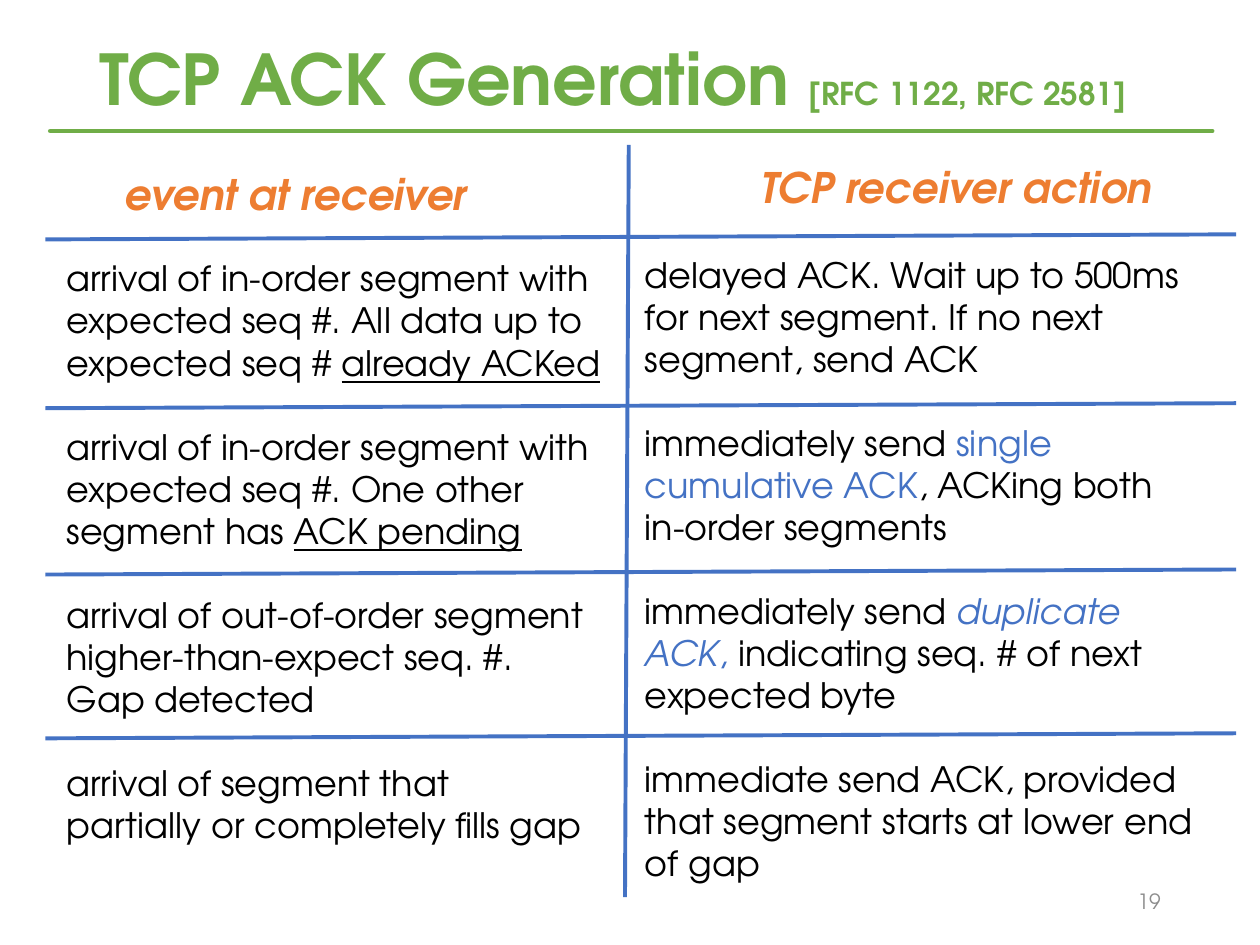
import pptx
import pptx.dml.color
import pptx.enum.shapes
import pptx.enum.text
import pptx.oxml.ns
import pptx.util
from lxml import etree

COLORS = {"green": "70AD47", "orange": "ED7D31", "blue": "4472C4",
          "black": "000000", "gray": "8C8C8C"}
FONT = "TeX Gyre Adventor"
GRID = pptx.util.Inches(0.1)  # the slide is 100 columns by 75 rows
COLUMNS, ROWS = 100, 75

# Each case is a list of paragraphs, each paragraph a list of (text, style).
EVENTS = [
    [[("arrival of in-order segment with", "plain")],
     [("expected seq #. All data up to", "plain")],
     [("expected seq # ", "plain"), ("already ACKed", "underlined")]],
    [[("arrival of in-order segment with", "plain")],
     [("expected seq #. One other", "plain")],
     [("segment has ", "plain"), ("ACK pending", "underlined")]],
    [[("arrival of out-of-order segment", "plain")],
     [("higher-than-expect seq. #.", "plain")],
     [("Gap detected", "plain")]],
    [[("arrival of segment that", "plain")],
     [("partially or completely fills gap", "plain")]],
]
ACTIONS = [
    [[("delayed ACK. Wait up to 500ms", "plain")],
     [("for next segment. If no next segment, send ACK", "plain")]],
    [[("immediately send ", "plain"), ("single cumulative ACK", "key"),
      (", ACKing both in-order segments", "plain")]],
    [[("immediately send ", "plain"), ("duplicate ACK", "key italic"), (",", "key"),
      (" indicating seq. # of next expected byte", "plain")]],
    [[("immediate send ACK, provided that segment starts at lower end of gap", "plain")]],
]


def span(cells):
    return round(cells * GRID)


def rgb(name):
    return pptx.dml.color.RGBColor.from_string(COLORS[name])


def set_font(font, size, color, bold=False):
    font.name = FONT
    font.size = pptx.util.Pt(size)
    font.bold = bold
    font.color.rgb = rgb(color)


def add_text_frame(slide, box, anchor=pptx.enum.text.MSO_ANCHOR.TOP):
    frame = slide.shapes.add_textbox(*map(span, box)).text_frame
    frame.word_wrap = True
    frame.vertical_anchor = anchor
    return frame


def add_rule(slide, start, end, color, width):
    rule = slide.shapes.add_connector(
        pptx.enum.shapes.MSO_CONNECTOR.STRAIGHT, *map(span, start + end))
    rule.line.color.rgb = rgb(color)
    rule.line.width = pptx.util.Pt(width)
    etree.SubElement(rule._element.spPr, pptx.oxml.ns.qn("a:effectLst"))
    return rule


def add_title(slide, box):
    left, top, width, height = box
    frame = add_text_frame(slide, box, pptx.enum.text.MSO_ANCHOR.MIDDLE)
    title = frame.paragraphs[0]
    title.line_spacing = 0.9
    set_font(title.font, 40, "green", bold=True)
    title.add_run().text = "TCP ACK Generation "
    references = title.add_run()
    references.text = "[RFC 1122, RFC 2581]"
    references.font.size = pptx.util.Pt(18)
    underline_y = top + height + 0.1
    underline = add_rule(slide, (4, underline_y), (96.2, underline_y), "green", 2.75)
    underline.line._get_or_add_ln().set("cap", "rnd")


def add_case_column(slide, box, heading, indent, cases, first_gap, gap=24):
    """Stack a heading and its cases; gaps are points above each case."""
    frame = add_text_frame(slide, box)
    header = frame.paragraphs[0]
    header.text = heading
    set_font(header.font, 24, "orange", bold=True)
    header.font.italic = True
    header._p.get_or_add_pPr().set("marL", str(span(indent)))
    for case_index, case in enumerate(cases):
        for line_index, pieces in enumerate(case):
            line = frame.add_paragraph()
            set_font(line.font, 20, "black")
            if line_index == 0:
                line.space_before = pptx.util.Pt(gap if case_index else first_gap)
            for text, style in pieces:
                run = line.add_run()
                run.text = text
                if "underlined" in style:
                    run.font.underline = True
                if "key" in style:
                    run.font.color.rgb = rgb("blue")
                if "italic" in style:
                    run.font.italic = True


def add_dividers(slide, box, row_tops, slope=0.4):
    """Draw the row dividers, which rise slightly, and the column divider."""
    left, top, width, height = box
    middle = left + 0.49 * width
    add_rule(slide, (middle + 0.0, top), (middle - 0.3, top + height), "blue", 2.25)
    for y in row_tops:
        add_rule(slide, (left, y), (left + width, y - slope), "blue", 2.25)


def add_page_number(slide, box, number):
    frame = add_text_frame(slide, box, pptx.enum.text.MSO_ANCHOR.MIDDLE)
    page = frame.paragraphs[0]
    page.text = str(number)
    page.alignment = pptx.enum.text.PP_ALIGN.RIGHT
    set_font(page.font, 12, "gray")


def main():
    deck = pptx.Presentation()
    deck.slide_width, deck.slide_height = span(COLUMNS), span(ROWS)
    slide = deck.slides.add_slide(deck.slide_layouts[6])
    add_title(slide, (6.9, 2.9, 86.2, 7.4))
    add_case_column(slide, (4.3, 12.9, 45.6, 60.2), "event at receiver", 4.6, EVENTS, 21.6)
    add_case_column(slide, (50.2, 12.3, 45.9, 63.6), "TCP receiver action", 9.2, ACTIONS, 24)
    add_dividers(slide, (3.6, 11.5, 94.5, 59.7), (19, 32.4, 45.6, 58.6))
    add_page_number(slide, (70.6, 69.5, 22.5, 4), 19)
    deck.save("out.pptx")


if __name__ == "__main__":
    main()
